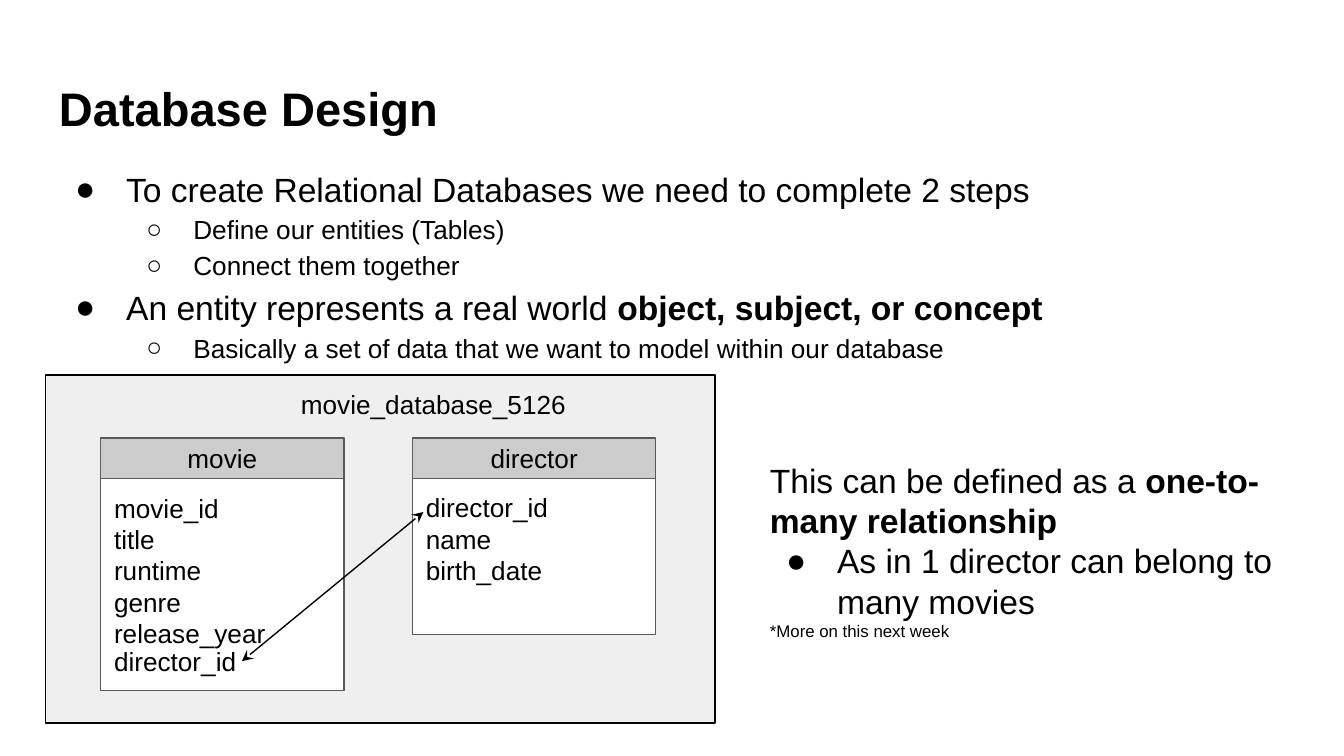
import pptx
import pptx.dml.color
import pptx.enum.shapes
import pptx.enum.text
import pptx.oxml.ns
import pptx.util
from lxml import etree

Inches = pptx.util.Inches
Pt = pptx.util.Pt
ALIGN = pptx.enum.text.PP_ALIGN
ANCHOR = pptx.enum.text.MSO_ANCHOR
COLOURS = {"text": "000000", "panel": "EFEFEF", "header": "CCCCCC",
           "cell": "FFFFFF", "border": "595959"}
# Bullet symbol, left margin and hanging indent for each list level
BULLETS = [("●", 0.5, -0.38), ("○", 1, -0.35)]


def rgb(name):
    return pptx.dml.color.RGBColor.from_string(COLOURS[name])


def add_element(parent, tag, **attributes):
    return etree.SubElement(parent, pptx.oxml.ns.qn(tag), attributes)


def add_bullet(para, level):
    symbol, margin, indent = BULLETS[level]
    para.level = level
    properties = para._p.get_or_add_pPr()
    properties.set("marL", str(Inches(margin)))
    properties.set("indent", str(Inches(indent)))
    colour = add_element(properties, "a:buClr")
    add_element(colour, "a:srgbClr", val=COLOURS["text"])
    add_element(properties, "a:buFont", typeface="Arial")
    add_element(properties, "a:buChar", char=symbol)


def write(shape, paragraphs, align=ALIGN.LEFT, anchor=ANCHOR.TOP, spacing=None):
    """Fill a shape from (level or None, size, [(text, bold), ...]) entries."""
    frame = shape.text_frame
    margins = {"margin_" + side: Inches(0.1) for side in ("left", "top", "right", "bottom")}
    for name, value in {"word_wrap": True, "vertical_anchor": anchor, **margins}.items():
        setattr(frame, name, value)
    for index, (level, size, spans) in enumerate(paragraphs):
        para = frame.add_paragraph() if index else frame.paragraphs[0]
        if level is not None:
            add_bullet(para, level)
        para.alignment = align
        if spacing:
            para.line_spacing = spacing
        for text, bold in spans:
            span = para.add_run()
            span.text = text
            for name, value in {"name": "Arial", "size": Pt(size), "bold": bold}.items():
                setattr(span.font, name, value)
            span.font.color.rgb = rgb("text")


def add_text(page, box, paragraphs, **options):
    shape = page.shapes.add_textbox(*map(Inches, box))
    write(shape, paragraphs, **options)


def add_rectangle(page, box, fill, border):
    kind = pptx.enum.shapes.MSO_SHAPE.RECTANGLE
    shape = page.shapes.add_shape(kind, *map(Inches, box))
    shape.shadow.inherit = False
    shape.fill.solid()
    shape.fill.fore_color.rgb = rgb(fill)
    shape.line.color.rgb = rgb(border)
    shape.line.width = Pt(0.75)
    return shape


def add_entity(page, box, name, fields):
    """Draw a database table: a header bar above its list of fields."""
    left, top, width, height = box
    header_height = 0.3
    header = add_rectangle(page, (left, top, width, header_height), "header", "border")
    write(header, [(None, 14, [(name, False)])], align=ALIGN.CENTER, anchor=ANCHOR.MIDDLE)
    body = add_rectangle(page, (left, top + header_height, width, height - header_height),
                         "cell", "border")
    write(body, [(None, 14, [(field, False)]) for field in fields])


def add_double_arrow(page, start, end):
    kind = pptx.enum.shapes.MSO_CONNECTOR.STRAIGHT
    arrow = page.shapes.add_connector(kind, *map(Inches, (*start, *end)))
    arrow.line.color.rgb = rgb("text")
    arrow.line.width = Pt(0.75)
    line = arrow.line._get_or_add_ln()
    for tag in ("a:headEnd", "a:tailEnd"):
        add_element(line, tag, type="stealth", w="med", len="med")
    add_element(arrow._element.spPr, "a:effectLst")


def add_schema(page, box):
    left, top, width, height = box
    add_rectangle(page, box, "panel", "text")
    add_text(page, (left + 1.8, top, 2.52, 0.47),
             [(None, 14, [("movie_database_5126", False)])])
    movie_left, director_left = left + 0.41, left + 2.73
    entity_top, entity_width = top + 0.47, 1.81
    add_entity(page, (movie_left, entity_top, entity_width, 1.88), "movie",
               ["movie_id", "title", "runtime", "genre", "release_year"])
    add_entity(page, (director_left, entity_top, entity_width, 1.46), "director",
               ["director_id", "name", "birth_date"])
    add_text(page, (movie_left, top + 1.91, 3.28, 0.44),
             [(None, 14, [("director_id", False)])])
    add_double_arrow(page, (left + 1.46, top + 2.13), (left + 2.81, top + 1.02))


def add_heading(page, box):
    add_text(page, box, [(None, 25.2, [("Database Design", True)])])


def add_steps(page, box):
    add_text(page, box, [
        (0, 18, [("To create Relational Databases we need to complete 2 steps", False)]),
        (1, 14, [("Define our entities (Tables)", False)]),
        (1, 14, [("Connect them together", False)]),
        (0, 18, [("An entity represents a real world ", False),
                 ("object, subject, or concept", True)]),
        (1, 14, [("Basically a set of data that we want to model within our database", False)]),
    ], spacing=1.15)


def add_relationship_note(page, box):
    add_text(page, box, [
        (None, 18, [("This can be defined as a ", False),
                    ("one-to-many relationship", True)]),
        (0, 18, [("As in 1 director can belong to many movies", False)]),
        (None, 9, [("*More on this next week", False)]),
    ])


def main():
    deck = pptx.Presentation()
    deck.slide_width = Inches(10)
    deck.slide_height = deck.slide_width * 9 // 16
    page = deck.slides.add_slide(deck.slide_layouts[6])
    add_heading(page, (0.34, 0.49, 9.32, 0.63))
    add_steps(page, (0.34, 1.11, 9.32, 1.68))
    add_schema(page, (0.34, 2.79, 4.98, 2.59))
    add_relationship_note(page, (5.63, 3.32, 4.02, 1.53))
    deck.save("out.pptx")


if __name__ == "__main__":
    main()
